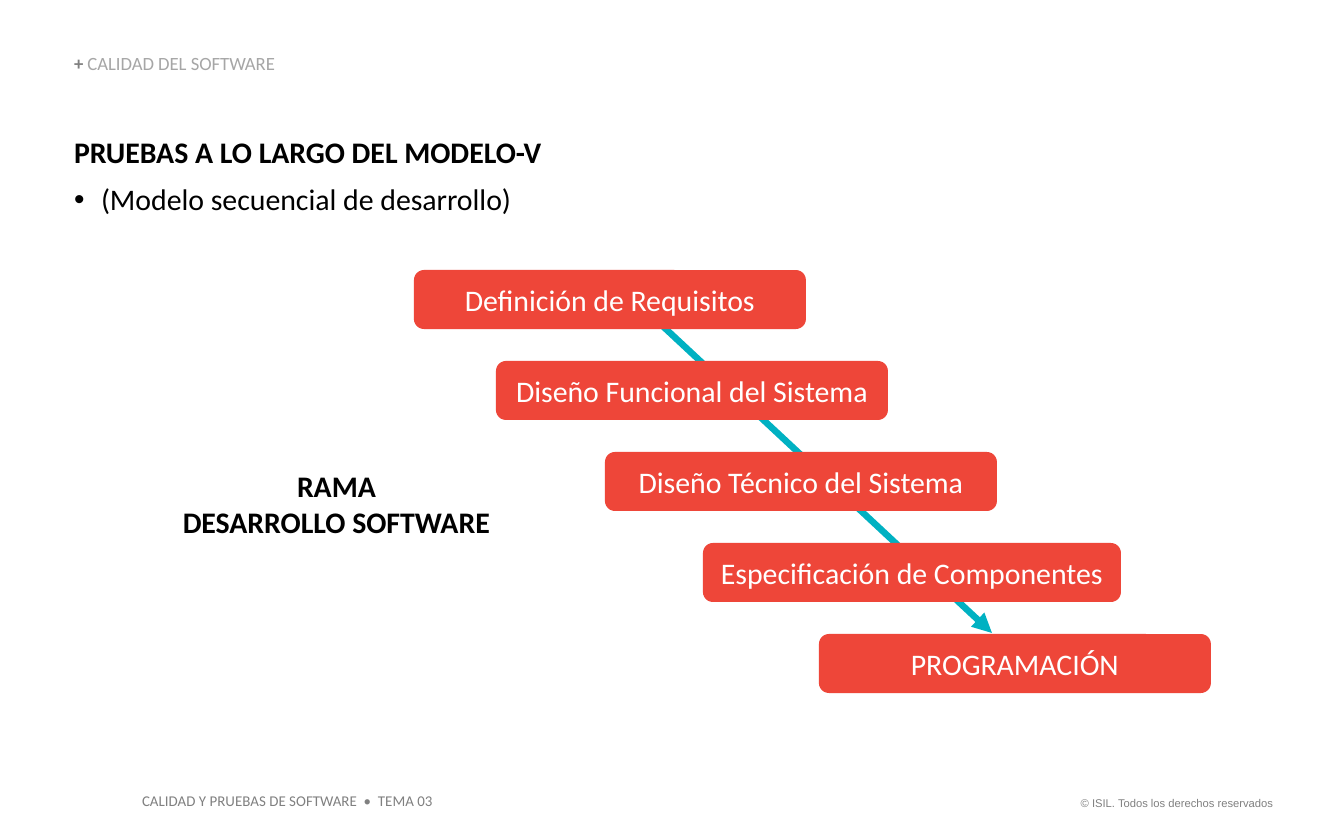
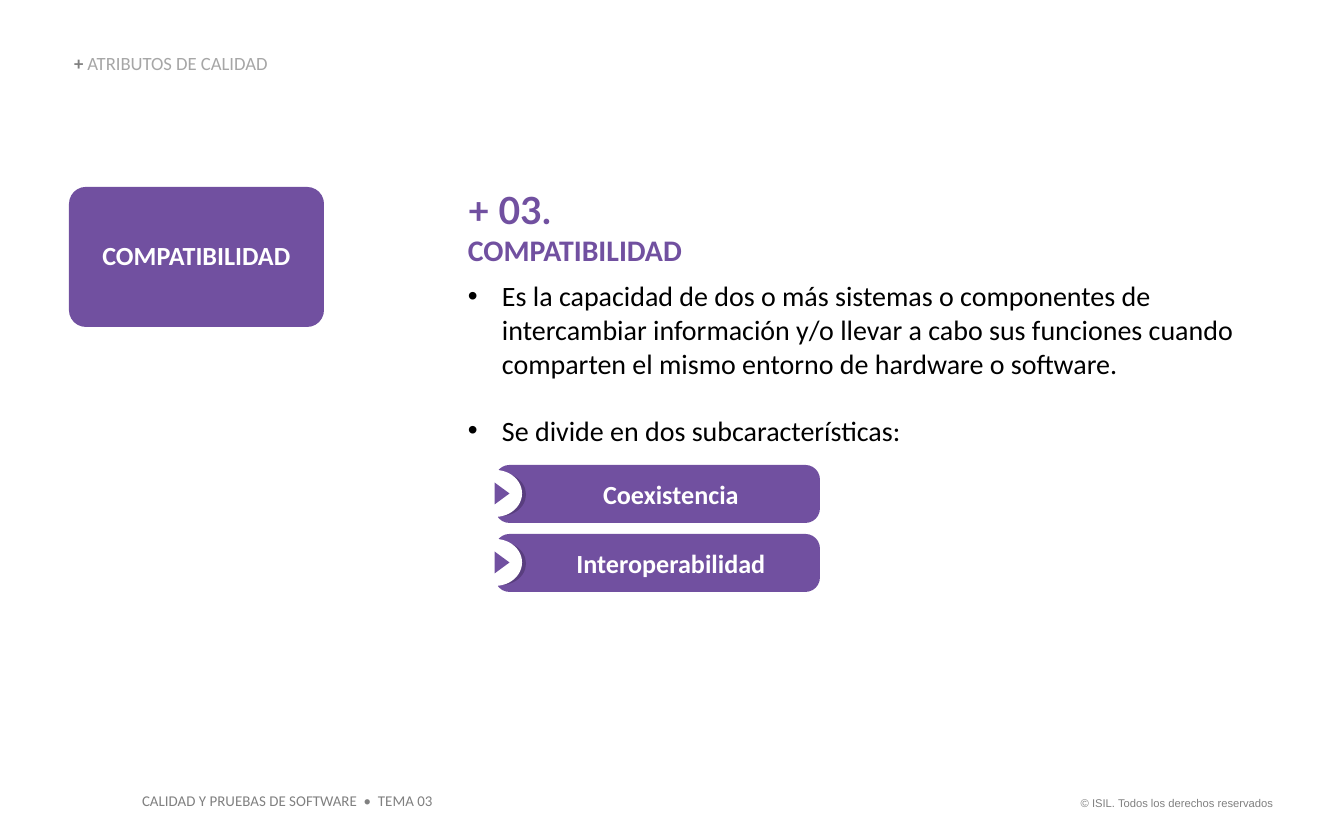
from lxml.etree import SubElement
from pptx import Presentation
from pptx.dml.color import RGBColor
from pptx.enum.shapes import MSO_CONNECTOR as Link, MSO_SHAPE as Kind
from pptx.enum.text import MSO_ANCHOR as Anchor, MSO_AUTO_SIZE as Fit, PP_ALIGN as Align
from pptx.oxml.ns import qn
from pptx.util import Pt

SCALE = 914400 / 134.4
WIDTH, HEIGHT = 1344, 840
BLACK, WHITE, GRAY, SILVER = "000000", "FFFFFF", "808080", "A6A6A6"
RED, TEAL, PURPLE, PLUM = "EE4639", "00B1C2", "7150A0", "593E7F"


def px(value):
    return round(value * SCALE)


def paint(color, hue):
    color.rgb = RGBColor.from_string(hue)


def add_run(para, text, size=16, hue=BLACK, bold=False, face="Calibri"):
    run = para.add_run()
    run.text = text
    font = run.font
    font.size, font.bold, font.name = Pt(size), bold, face
    paint(font.color, hue)


def write(frame, text, align=Align.LEFT, after=0, line=None, indent=0, hang=0, **style):
    """Add a paragraph, filling the first one if empty; hang sets a bullet."""
    para = frame.paragraphs[0]
    if para.runs:
        para = frame.add_paragraph()
    props = para._p.get_or_add_pPr()
    props.set("marL", str(px(indent + hang)))
    props.set("indent", str(px(-hang)))
    if hang:
        SubElement(props, qn("a:buFont"), typeface="Arial")
        SubElement(props, qn("a:buChar"), char="•")
    para.alignment, para.line_spacing = align, line
    para.space_before, para.space_after = Pt(0), Pt(after)
    add_run(para, text, **style)
    return para


def set_frame(frame, anchor, wrap=True):
    frame.auto_size, frame.word_wrap = Fit.NONE, wrap
    frame.vertical_anchor = anchor
    frame.margin_left = frame.margin_right = 0
    frame.margin_top = frame.margin_bottom = 0
    return frame


def add_label(shapes, left, top, width, height, wrap=True):
    box = shapes.add_textbox(*map(px, (left, top, width, height)))
    return set_frame(box.text_frame, Anchor.TOP, wrap)


def add_form(shapes, kind, left, top, width, height, hue):
    form = shapes.add_shape(kind, *map(px, (left, top, width, height)))
    form.shadow.inherit = False
    form.fill.solid()
    paint(form.fill.fore_color, hue)
    form.line.fill.background()
    return form


def add_card(shapes, text, box, hue, curve, **style):
    card = add_form(shapes, Kind.ROUNDED_RECTANGLE, *box, hue)
    card.adjustments[0] = curve
    frame = set_frame(card.text_frame, Anchor.MIDDLE)
    write(frame, text, align=Align.CENTER, hue=WHITE, **style)


def add_arrow(shapes, start, end, hue, weight):
    arrow = shapes.add_connector(Link.STRAIGHT, *map(px, (*start, *end)))
    paint(arrow.line.color, hue)
    arrow.line.width = Pt(weight)
    SubElement(arrow.line._get_or_add_ln(), qn("a:tailEnd"), type="triangle")
    SubElement(arrow._element.spPr, qn("a:effectLst"))


def add_pill(slide, text, top):
    """Draw a bar whose left end is cut by a disc with a play mark."""
    shapes = slide.shapes.add_group_shape().shapes
    add_card(shapes, text, (495, top, 325, 58), PURPLE, 0.25,
             size=14, bold=True, indent=27)
    add_form(shapes, Kind.OVAL, 476, top + 8, 50, 43, PLUM)
    add_form(shapes, Kind.OVAL, 468, top + 5, 54, 47, WHITE)
    mark = add_form(shapes, Kind.ISOSCELES_TRIANGLE, 491, top + 21, 22, 15, PURPLE)
    mark.rotation = 90


def add_slide(deck, topic):
    slide = deck.slides.add_slide(deck.slide_layouts[5])
    title = slide.shapes.title
    title.left, title.top, title.width, title.height = map(px, (74, 55, 485, 20))
    frame = set_frame(title.text_frame, Anchor.BOTTOM)
    para = write(frame, "+ ", line=0.9, size=10, hue=GRAY, bold=True)
    add_run(para, topic, size=10, hue=SILVER)

    rights = add_label(slide.shapes, 1072, 796, 201, 14, wrap=False)
    write(rights, "© ISIL. Todos los derechos reservados",
          align=Align.RIGHT, size=6, hue=GRAY, face="Arial")
    course = add_label(slide.shapes, 142, 792, 293, 18, wrap=False)
    write(course, "CALIDAD Y PRUEBAS DE SOFTWARE  •  TEMA 03", size=8, hue=GRAY)
    return slide


def add_model(deck):
    slide = add_slide(deck, "CALIDAD DEL SOFTWARE")
    intro = add_label(slide.shapes, 74, 134, 504, 83)
    write(intro, "PRUEBAS A LO LARGO DEL MODELO-V", after=6, bold=True)
    write(intro, "(Modelo secuencial de desarrollo)", hang=27)

    shapes = slide.shapes.add_group_shape().shapes
    add_arrow(shapes, (610, 277), (992, 633), TEAL, 3.5)
    branch = add_label(shapes, 125, 468, 423, 73)
    for text in ("RAMA", "DESARROLLO SOFTWARE"):
        write(branch, text, align=Align.CENTER, bold=True)
    steps = (
        ("Definición de Requisitos", 414, 392),
        ("Diseño Funcional del Sistema", 496, 392),
        ("Diseño Técnico del Sistema", 605, 392),
        ("Especificación de Componentes", 703, 418),
        ("PROGRAMACIÓN", 819, 392),
    )
    for row, (text, left, width) in enumerate(steps):
        add_card(shapes, text, (left, 270 + 91 * row, width, 59), RED, 0.17)


def add_trait(deck):
    slide = add_slide(deck, "ATRIBUTOS DE CALIDAD")
    body = add_label(slide.shapes, 468, 187, 808, 262)
    head = write(body, "+ 03.", after=6, size=20, hue=PURPLE, bold=True, face="Lato")
    head.add_line_break()
    add_run(head, "COMPATIBILIDAD", hue=PURPLE, bold=True)
    write(body, "Es la capacidad de dos o más sistemas o componentes de intercambiar "
          "información y/o llevar a cabo sus funciones cuando comparten el mismo "
          "entorno de hardware o software.", size=15, hang=34, after=18)
    write(body, "Se divide en dos subcaracterísticas:", size=15, hang=34)

    add_card(slide.shapes, "COMPATIBILIDAD", (69, 187, 255, 140), PURPLE, 0.12,
             size=14, bold=True, line=0.9)
    for row, text in enumerate(("Coexistencia", "Interoperabilidad")):
        add_pill(slide, text, 465 + 69 * row)


def main():
    deck = Presentation()
    deck.slide_width, deck.slide_height = px(WIDTH), px(HEIGHT)
    add_model(deck)
    add_trait(deck)
    deck.save("out.pptx")


if __name__ == "__main__":
    main()
